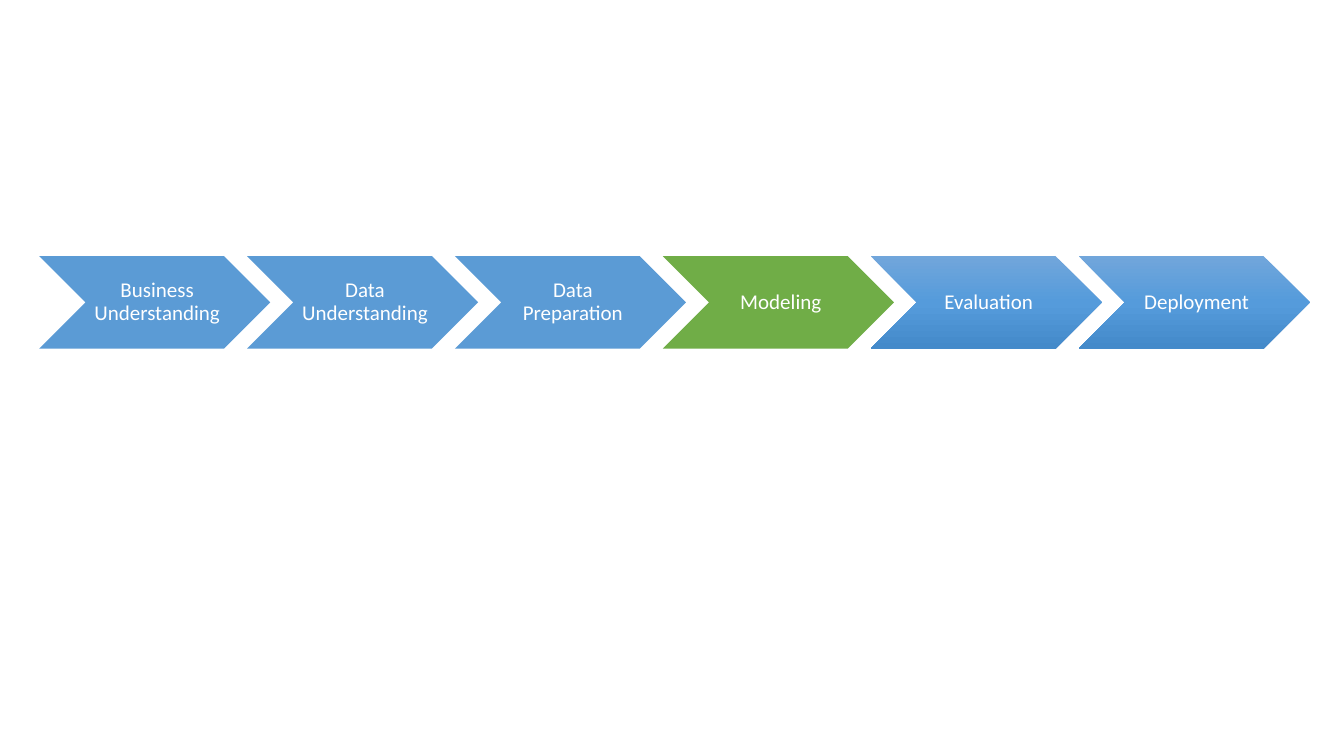
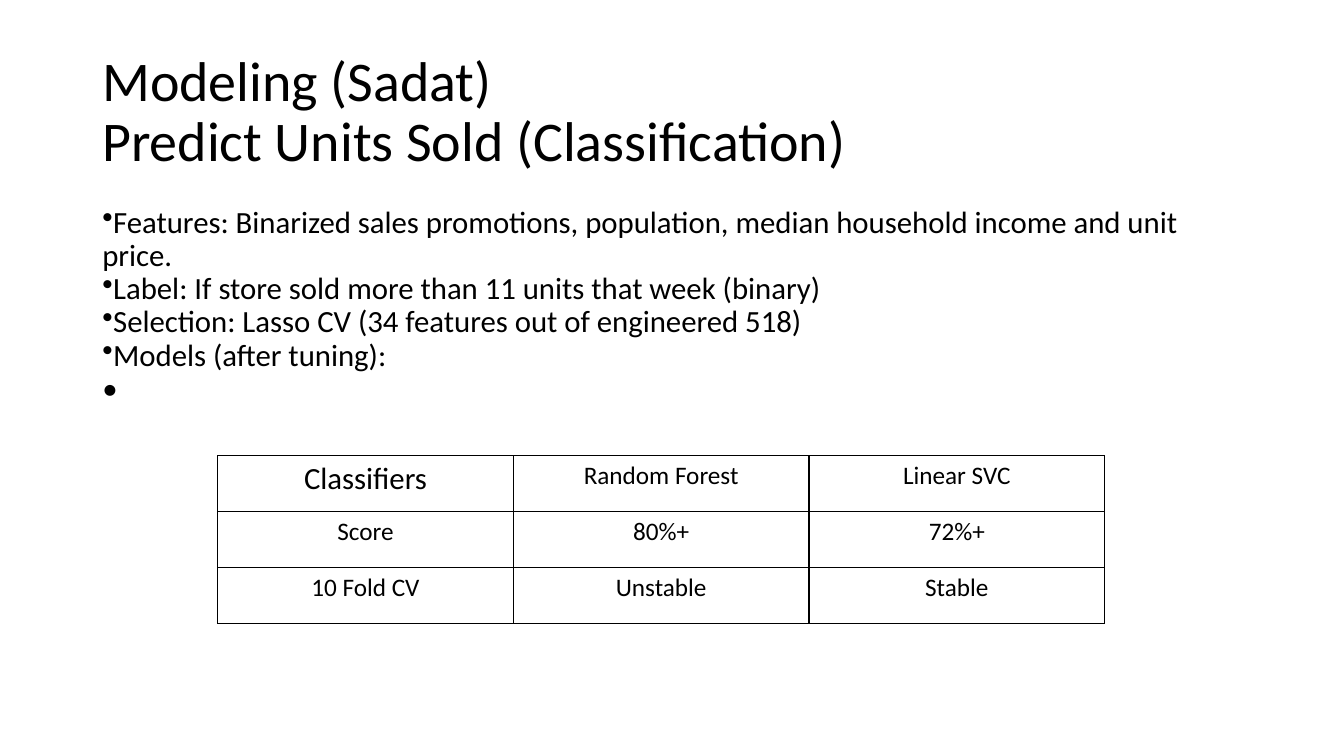
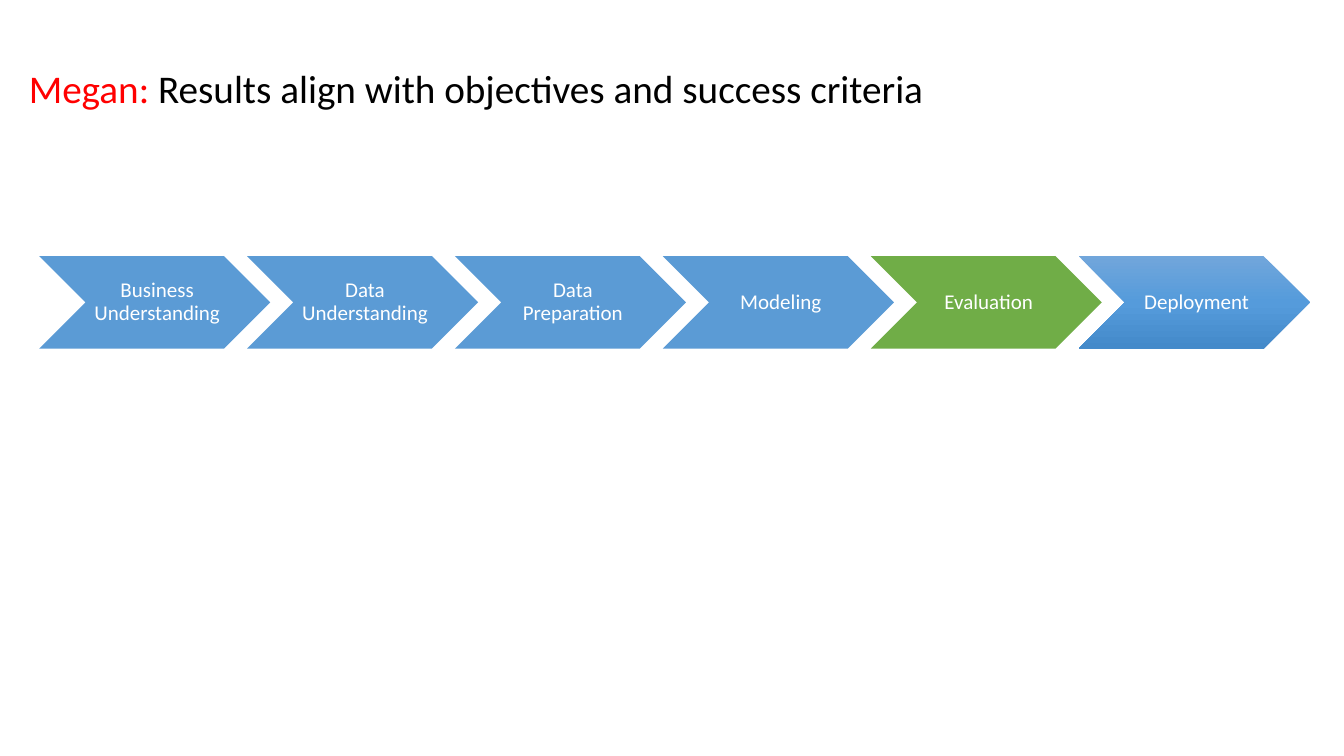
"""Builds three slides about the modeling and evaluation steps of a project."""
import copy
import dataclasses

import pptx
import pptx.dml.color
import pptx.enum.shapes
import pptx.enum.text
import pptx.oxml
import pptx.oxml.ns
import pptx.util

Pt = pptx.util.Pt
qn = pptx.oxml.ns.qn
RGB = pptx.dml.color.RGBColor.from_string
Align = pptx.enum.text.PP_ALIGN
Anchor = pptx.enum.text.MSO_ANCHOR


@dataclasses.dataclass(frozen=True)
class Theme:
    """Holds the colours, font and type sizes of the deck."""
    font: str = "Calibri"
    ink: str = "000000"
    white: str = "FFFFFF"
    red: str = "FF0000"
    done: str = "5B9BD5"
    now: str = "70AD47"
    later: tuple = ("71A6DB", "559BDB", "448ACA")
    title: int = 40
    lead: int = 28
    body: int = 22
    cell: int = 18
    step: int = 15


THEME = Theme()
STEPS = ("Business Understanding", "Data Understanding", "Data Preparation",
         "Modeling", "Evaluation", "Deployment")


def text(frame, *lines, size, inks=(THEME.ink,), align=Align.LEFT,
         anchor=Anchor.TOP, space=1.0, after=0, bullet=False):
    """Fills a frame with lines; a bar in a line starts the next ink."""
    frame.word_wrap = True
    frame.vertical_anchor = anchor
    for index, line in enumerate(lines):
        para = frame.add_paragraph() if index else frame.paragraphs[0]
        para.alignment, para.line_spacing = align, space
        para.space_before, para.space_after = Pt(0), Pt(after)
        for part, ink in zip(line.split("|"), inks):
            run = para.add_run()
            run.text = part
            run.font.name, run.font.size = THEME.font, Pt(size)
            run.font.color.rgb = RGB(ink)
        if bullet and line != "•":
            mark = para._p.get_or_add_pPr().makeelement(qn("a:buChar"), {"char": "•"})
            para._p.pPr.append(mark)


def box(slide, left, top, width, height):
    """Adds a text box and returns its frame."""
    return slide.shapes.add_textbox(Pt(left), Pt(top), Pt(width), Pt(height)).text_frame


def shade(shape, inks):
    """Fills a shape from top to bottom with evenly spaced inks."""
    shape.fill.gradient()
    shape.fill.gradient_angle = 270
    stops = shape._element.spPr.find(".//" + qn("a:gsLst"))
    while len(stops) < len(inks):
        stops.append(copy.deepcopy(stops[0]))
    for index, (stop, ink) in enumerate(zip(shape.fill.gradient_stops, inks)):
        stop.position = index / (len(inks) - 1)
        stop.color.rgb = RGB(ink)


def chain(slide, now):
    """Draws the row of steps with the current one picked out."""
    place = STEPS.index(now)
    for index, name in enumerate(STEPS):
        step = slide.shapes.add_shape(
            pptx.enum.shapes.MSO_SHAPE.CHEVRON,
            Pt(28 + 148.5 * index), Pt(183), Pt(165), Pt(66))
        step.shadow.inherit = False
        step.line.fill.background()
        if index > place:
            shade(step, THEME.later)
        else:
            step.fill.solid()
            step.fill.fore_color.rgb = RGB(THEME.now if index == place else THEME.done)
        frame = step.text_frame
        frame.margin_left = Pt(5)
        frame.margin_top = frame.margin_right = frame.margin_bottom = Pt(1.6)
        text(frame, name, size=THEME.step, inks=(THEME.white,), align=Align.CENTER,
             anchor=Anchor.MIDDLE, space=0.9, after=5.25)


def edge(cell):
    """Draws a thin line on each side of a cell."""
    props = cell._tc.get_or_add_tcPr()
    for index, side in enumerate(("lnL", "lnR", "lnT", "lnB")):
        props.insert(index, pptx.oxml.parse_xml(
            f'<a:{side} {pptx.oxml.ns.nsdecls("a")} w="{int(Pt(1))}"><a:solidFill>'
            f'<a:srgbClr val="{THEME.ink}"/></a:solidFill></a:{side}>'))


def grid(slide, rows, left, top, width, height):
    """Adds a plain ruled table with a larger first cell."""
    table = slide.shapes.add_table(len(rows), len(rows[0]), Pt(left), Pt(top),
                                   Pt(width), Pt(height)).table
    table.first_row = table.horz_banding = False
    for down, row in enumerate(rows):
        for across, word in enumerate(row):
            cell = table.cell(down, across)
            cell.fill.background()
            edge(cell)
            size = THEME.cell if down or across else THEME.body
            text(cell.text_frame, word, size=size, align=Align.CENTER)


def model(slide):
    """Lays out the classification slide."""
    text(box(slide, 66, 29, 828, 104), "Modeling (Sadat)",
         "Predict Units Sold (Classification)",
         size=THEME.title, anchor=Anchor.MIDDLE, space=0.9)
    text(box(slide, 66, 144, 828, 343),
         "Features: Binarized sales promotions, population, "
         "median household income and unit price.",
         "Label: If store sold more than 11 units that week (binary)",
         "Selection: Lasso CV (34 features out of engineered 518)",
         "Models (after tuning):", "•",
         size=THEME.body, space=0.9, bullet=True)
    grid(slide, (("Classifiers", "Random Forest", "Linear SVC"),
                 ("Score", "80%+", "72%+"),
                 ("10 Fold CV", "Unstable", "Stable")), 155.5, 325.5, 633.6, 120)


def main():
    """Builds and saves the deck."""
    deck = pptx.Presentation()
    deck.slide_width, deck.slide_height = Pt(960), Pt(540)
    first, second, third = (deck.slides.add_slide(deck.slide_layouts[6])
                            for _ in range(3))
    chain(first, "Modeling")
    model(second)
    chain(third, "Evaluation")
    text(box(third, 13.5, 42.5, 885, 41),
         "Megan: |Results align with objectives and success criteria",
         size=THEME.lead, inks=(THEME.red, THEME.ink))
    deck.save("out.pptx")


main()
